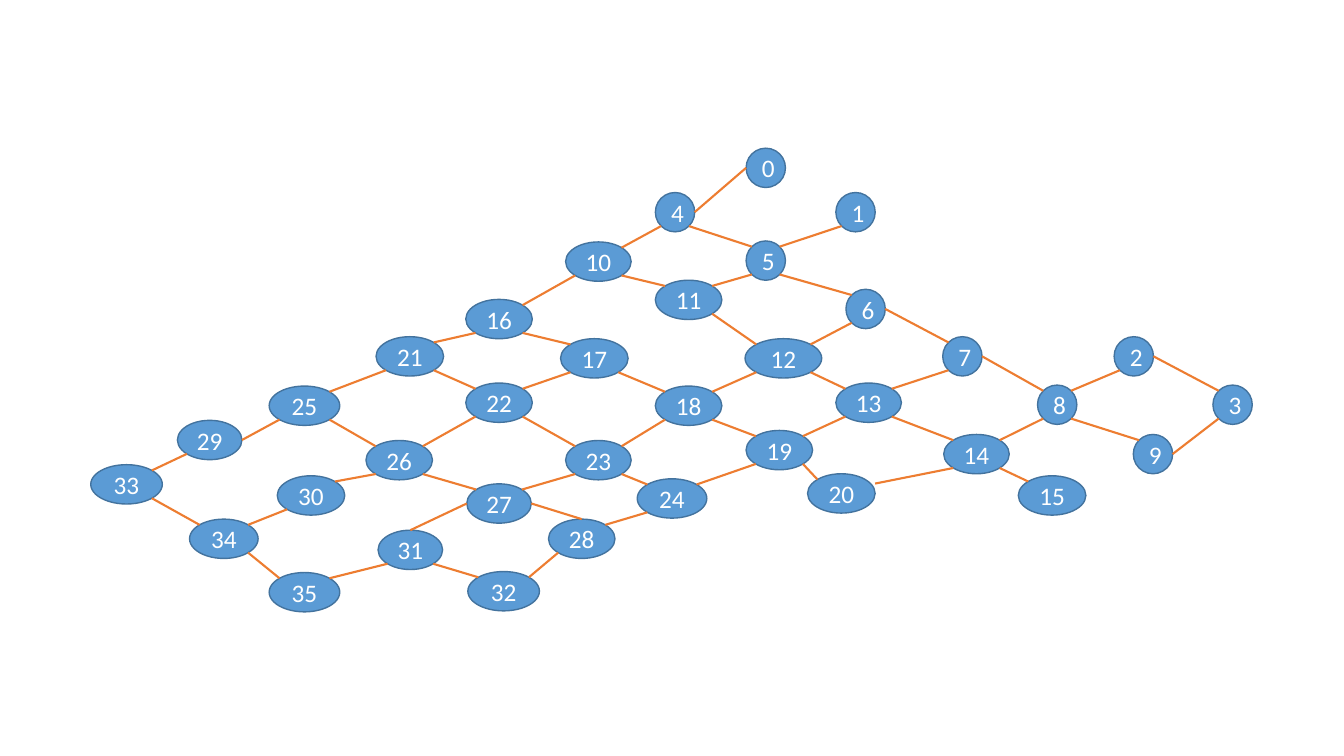
"""Build a slide showing a lattice of 36 numbered nodes joined by straight links."""
import lxml.etree
import pptx
import pptx.dml.color
import pptx.enum.shapes
import pptx.enum.text
import pptx.oxml.ns
import pptx.util

PX = 9144
NODE_HEIGHT = 39
RGB = pptx.dml.color.RGBColor.from_string
THEME = {
    "node": RGB("5B9BD5"),
    "outline": RGB("43739E"),
    "link": RGB("ED7D31"),
    "outline_width": pptx.util.Pt(1),
    "link_width": pptx.util.Pt(1.5),
    "label": {"name": "Calibri", "size": pptx.util.Pt(18)},
    "label_color": RGB("FFFFFF"),
}

NODES = [
    (740, 147, 39), (829, 191, 39), (1105, 334, 39), (1203, 382, 39),
    (650, 191, 39), (740, 239, 39), (839, 287, 39), (935, 334, 39),
    (1029, 382, 39), (1124, 431, 39), (561, 240, 65), (650, 278, 66),
    (739, 336, 76), (829, 380, 65), (936, 431, 65), (1010, 472, 67),
    (462, 297, 66), (556, 336, 67), (650, 383, 66), (740, 427, 66),
    (801, 470, 67), (373, 334, 67), (462, 380, 66), (561, 437, 65),
    (632, 475, 69), (267, 383, 70), (363, 437, 66), (463, 480, 64),
    (544, 515, 66), (176, 417, 64), (275, 472, 67), (375, 526, 64),
    (464, 567, 71), (90, 461, 71), (188, 515, 68), (267, 568, 70),
]

NEAR, FAR = 0.146, 0.854
SITES = {
    "N": (0.5, 0), "NW": (NEAR, NEAR), "W": (0, 0.5), "SW": (NEAR, FAR),
    "S": (0.5, 1), "SE": (FAR, FAR), "E": (1, 0.5), "NE": (FAR, NEAR),
    "ENE": (1, 0.25),
}
GLUE_SITES = list(SITES)[:8]

LINKS = [
    "0 W 4 E", "4 SE 5 NW", "4 SW 10 NE", "5 NE 1 SW", "5 SW 11 NE",
    "11 NW 10 SE", "5 SE 6 NW", "6 E 7 NW", "8 NW 7 E", "7 SW 13 NE",
    "6 SW 12 NE", "8 SW 14 NE", "8 NE 2 SW", "8 SE 9 NW", "2 E 3 NW",
    "3 SW 9 E", "14 SE 15 NW", "14 NW 13 SE", "14 SW 20 ENE", "13 NW 12 SE",
    "12 NW 11 SE", "10 SW 16 NE", "16 SE 17 NW", "16 SW 21 NE", "17 SE 18 NW",
    "17 SW 22 NE", "18 NE 12 SW", "18 SW 23 NE", "18 SE 19 NW", "19 NE 13 SW",
    "19 SE 20 NW", "19 SW 24 NE", "21 SE 22 NW", "22 SE 23 NW", "23 SE 24 NW",
    "21 SW 25 NE", "25 SE 26 NW", "26 NE 22 SW", "26 SE 27 NW", "27 NE 23 SW",
    "27 E 28 N", "28 NE 24 SW", "25 SW 29 E", "26 SW 30 NE", "27 W 31 N",
    "31 SE 32 NW", "29 SW 33 NE", "33 SE 34 NW", "34 NE 30 SW", "34 SE 35 NW",
    "35 NE 31 SW", "32 NE 28 SW",
]


def site_point(node, site):
    """Return the slide position of a compass site on a node."""
    across, down = SITES[site]
    return round(node.left + across * node.width), round(node.top + down * node.height)


presentation = pptx.Presentation()
presentation.slide_width = 1333 * PX
presentation.slide_height = 750 * PX
slide = presentation.slides.add_slide(presentation.slide_layouts[6])

nodes = []
for number, (left, top, width) in enumerate(NODES):
    node = slide.shapes.add_shape(
        pptx.enum.shapes.MSO_SHAPE.OVAL,
        left * PX, top * PX, width * PX, NODE_HEIGHT * PX)
    node.shadow.inherit = False
    node.fill.solid()
    node.fill.fore_color.rgb = THEME["node"]
    node.line.color.rgb = THEME["outline"]
    node.line.width = THEME["outline_width"]
    node.text_frame.vertical_anchor = pptx.enum.text.MSO_ANCHOR.MIDDLE
    node.text_frame.word_wrap = number < 10
    label = node.text_frame.paragraphs[0]
    label.alignment = pptx.enum.text.PP_ALIGN.CENTER
    digits = label.add_run()
    digits.text = str(number)
    for attribute, value in THEME["label"].items():
        setattr(digits.font, attribute, value)
    digits.font.color.rgb = THEME["label_color"]
    nodes.append(node)

for entry in LINKS:
    start, start_site, end, end_site = entry.split()
    start_node, end_node = nodes[int(start)], nodes[int(end)]
    link = slide.shapes.add_connector(
        pptx.enum.shapes.MSO_CONNECTOR.STRAIGHT,
        *site_point(start_node, start_site), *site_point(end_node, end_site))
    link.line.color.rgb = THEME["link"]
    link.line.width = THEME["link_width"]
    lxml.etree.SubElement(link._element.spPr, pptx.oxml.ns.qn("a:effectLst"))
    joints = link._element.nvCxnSpPr.cNvCxnSpPr
    for tag, node, site in (("a:stCxn", start_node, start_site),
                            ("a:endCxn", end_node, end_site)):
        if site in GLUE_SITES:
            lxml.etree.SubElement(
                joints, pptx.oxml.ns.qn(tag),
                id=str(node.shape_id), idx=str(GLUE_SITES.index(site)))

presentation.save("out.pptx")
